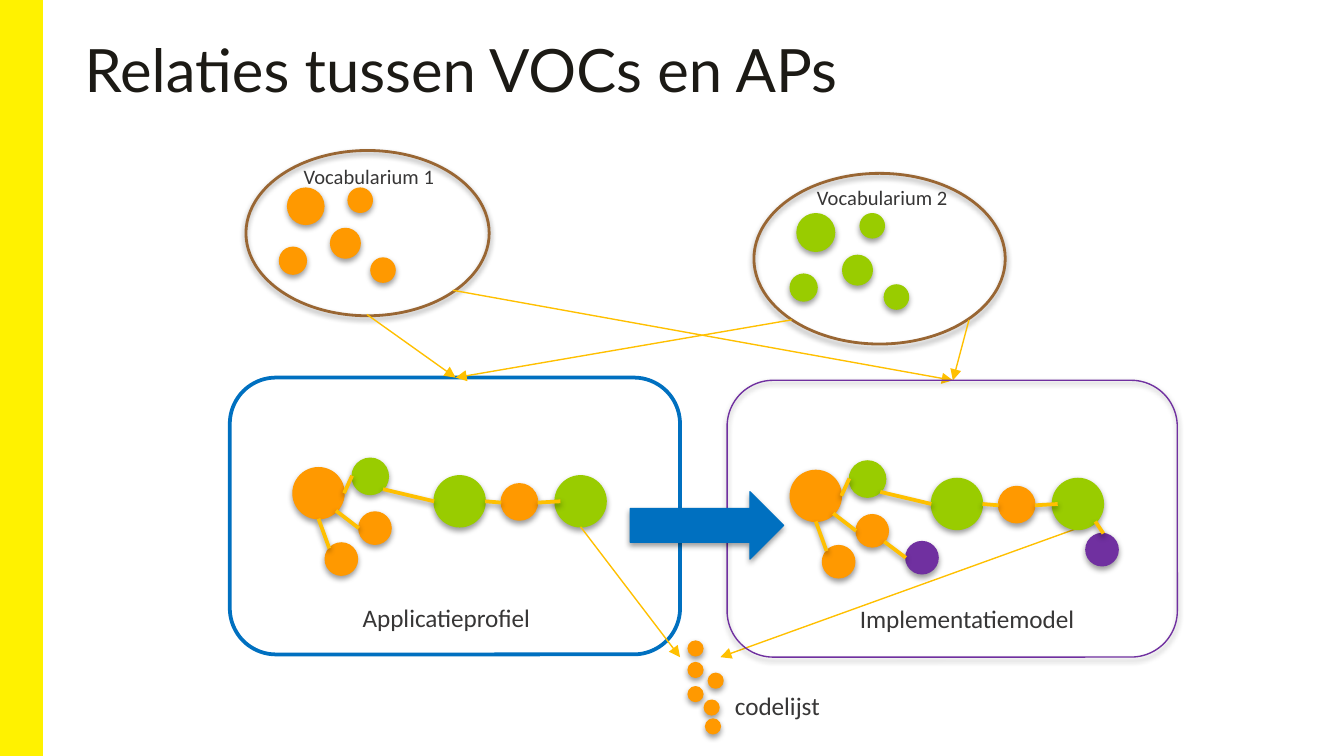
from lxml import etree
from pptx import Presentation
from pptx.dml.color import RGBColor
from pptx.enum.shapes import MSO_CONNECTOR, MSO_SHAPE
from pptx.enum.text import MSO_ANCHOR, PP_ALIGN
from pptx.oxml import parse_xml
from pptx.oxml.ns import nsdecls, qn
from pptx.util import Inches, Pt

WIDTH = 10
HEIGHT = WIDTH * 9 / 16
COLORS = {
    "yellow": "FFF200", "title": "1C1A15", "text": "373636",
    "orange": "FF9900", "green": "99CC00", "purple": "7030A0",
    "blue": "0070C0", "brown": "996633", "gold": "FFC000",
}

# Content: dots are (left, top, diameter), lines are (x1, y1, x2, y2)
TITLE = "Relaties tussen VOCs en APs"
VOCABULARIES = [
    {"color": "orange", "oval": (1.83, 1.12, 1.81, 1.23),
     "label": ("Vocabularium 1", 2.16, 1.17, 1.51, 0.29),
     "dots": [(2.14, 1.4, 0.27), (2.59, 1.4, 0.18), (2.46, 1.7, 0.22),
              (2.76, 1.92, 0.18), (2.08, 1.84, 0.2)]},
    {"color": "green", "oval": (5.61, 1.29, 1.87, 1.27),
     "label": ("Vocabularium 2", 5.98, 1.33, 1.19, 0.29),
     "dots": [(5.93, 1.59, 0.28), (6.4, 1.59, 0.18), (6.27, 1.9, 0.22),
              (6.58, 2.12, 0.18), (5.88, 2.04, 0.2)]},
]
MODEL_FRAME = (1.71, 2.81, 3.35, 2.06)
MODEL_DOTS = [
    ("orange", 2.18, 3.48, 0.38), ("orange", 2.67, 3.81, 0.24),
    ("orange", 2.42, 4.04, 0.24), ("green", 3.23, 3.54, 0.38),
    ("green", 2.62, 3.41, 0.27), ("green", 4.13, 3.54, 0.38),
    ("orange", 3.73, 3.6, 0.27),
]
MODEL_LINKS = [
    (2.56, 3.67, 2.62, 3.54), (2.5, 3.8, 2.67, 3.93), (2.37, 3.86, 2.45, 4.08),
    (2.85, 3.64, 3.23, 3.73), (3.61, 3.73, 3.73, 3.74), (4, 3.74, 4.17, 3.73),
]
MODEL_SHIFT = (3.7, 0.02)  # from application profile to implementation model
EXTRA_DOTS = [(8.08, 3.97, 0.24), (6.74, 4.03, 0.24)]
EXTRA_LINKS = [(6.58, 4.03, 6.74, 4.15), (8.15, 3.88, 8.21, 3.97)]
ARROWS = [
    (2.73, 2.34, 3.39, 2.81), (5.89, 2.38, 3.39, 2.81),
    (3.37, 2.16, 7.09, 2.83), (7.21, 2.38, 7.09, 2.83),
    (4.32, 3.92, 5.06, 4.89), (8.02, 3.93, 5.36, 4.89),
]
CODE_DOTS = [(5.12, 4.77), (5.12, 4.93), (5.27, 5.01),
             (5.12, 5.11), (5.24, 5.21), (5.25, 5.35)]
CODE_SIZE = 0.11

SHADOW = (
    f'<a:effectLst {nsdecls("a")}><a:outerShdw blurRad="{Pt(3.1)}" dist="{Pt(1.6)}" '
    'dir="5400000" rotWithShape="0"><a:srgbClr val="000000"><a:alpha val="38000"/>'
    '</a:srgbClr></a:outerShdw></a:effectLst>'
)


def color(name):
    return RGBColor.from_string(COLORS[name])


def set_effects(item, shadow):
    xml = SHADOW if shadow else f'<a:effectLst {nsdecls("a")}/>'
    item._element.spPr.append(parse_xml(xml))


def add_shape(kind, place, line, width=0.75, fill=None, shadow=True):
    shape = page.shapes.add_shape(kind, *map(Inches, place))
    if fill:
        shape.fill.solid()
        shape.fill.fore_color.rgb = color(fill)
    else:
        shape.fill.background()
    shape.line.color.rgb = color(line)
    shape.line.width = Pt(width)
    set_effects(shape, shadow)


def add_dot(name, left, top, size):
    add_shape(MSO_SHAPE.OVAL, (left, top, size, size), name, fill=name)


def add_line(ends, width, arrow=False):
    line = page.shapes.add_connector(MSO_CONNECTOR.STRAIGHT, *map(Inches, ends))
    line.line.color.rgb = color("gold")
    line.line.width = Pt(width)
    if arrow:
        outline = line._element.spPr.find(qn("a:ln"))
        etree.SubElement(outline, qn("a:tailEnd"), type="triangle")
    set_effects(line, not arrow)


def format_text(paragraph, size, font, name):
    for span in paragraph.runs:
        span.font.size = Pt(size)
        span.font.name = font
        span.font.color.rgb = color(name)


def add_label(text, left, top, width, height, size=13.5):
    box = page.shapes.add_textbox(*map(Inches, (left, top, width, height)))
    box.text_frame.word_wrap = False
    box.text_frame.text = text
    format_text(box.text_frame.paragraphs[0], size, "Calibri", "text")


def add_model(dx, dy):
    for name, left, top, size in MODEL_DOTS:
        add_dot(name, left + dx, top + dy, size)
    for x1, y1, x2, y2 in MODEL_LINKS:
        add_line((x1 + dx, y1 + dy, x2 + dx, y2 + dy), 2)


deck = Presentation()
deck.slide_width, deck.slide_height = Inches(WIDTH), Inches(HEIGHT)
page = deck.slides.add_slide(deck.slide_layouts[5])

# Side band and title
add_shape(MSO_SHAPE.RECTANGLE, (0, 0, 0.31, HEIGHT), "yellow", 1, "yellow", False)
title = page.shapes.title
title.left, title.top, title.width, title.height = map(Inches, (0.53, 0.13, 8.11, 0.92))
frame = title.text_frame
frame.text = TITLE
frame.vertical_anchor = MSO_ANCHOR.TOP
frame.margin_left = frame.margin_right = Inches(0.1)
frame.margin_top = frame.margin_bottom = Inches(0.1)
frame.paragraphs[0].alignment = PP_ALIGN.LEFT
frame.paragraphs[0].line_spacing = 1.03
format_text(frame.paragraphs[0], 32, "Lato", "title")

# Vocabularies
for vocabulary in VOCABULARIES:
    for dot in vocabulary["dots"]:
        add_dot(vocabulary["color"], *dot)
    add_shape(MSO_SHAPE.OVAL, vocabulary["oval"], "brown", 1.5)
    add_label(*vocabulary["label"], size=11)

# Application profile
add_shape(MSO_SHAPE.ROUNDED_RECTANGLE, MODEL_FRAME, "blue", 2, shadow=False)
add_model(0, 0)
add_label("Applicatieprofiel", 2.6, 4.43, 1.52, 0.33)

# Arrows between the parts
for ends in ARROWS:
    add_line(ends, 0.75, arrow=True)

# Code list
for left, top in CODE_DOTS:
    add_dot("orange", left, top, CODE_SIZE)
add_label("codelijst", 5.37, 5.09, 0.85, 0.33)

# Implementation model
add_model(*MODEL_SHIFT)
left, top, width, height = MODEL_FRAME
add_shape(MSO_SHAPE.ROUNDED_RECTANGLE,
          (left + MODEL_SHIFT[0], top + MODEL_SHIFT[1], width, height), "purple")
add_label("Implementatiemodel", 6.3, 4.44, 1.87, 0.33)
for dot in EXTRA_DOTS:
    add_dot("purple", *dot)
for ends in EXTRA_LINKS:
    add_line(ends, 2)

# Block arrow from profile to model
add_shape(MSO_SHAPE.RIGHT_ARROW, (4.69, 3.66, 1.14, 0.5), "blue", fill="blue")

deck.save("out.pptx")
